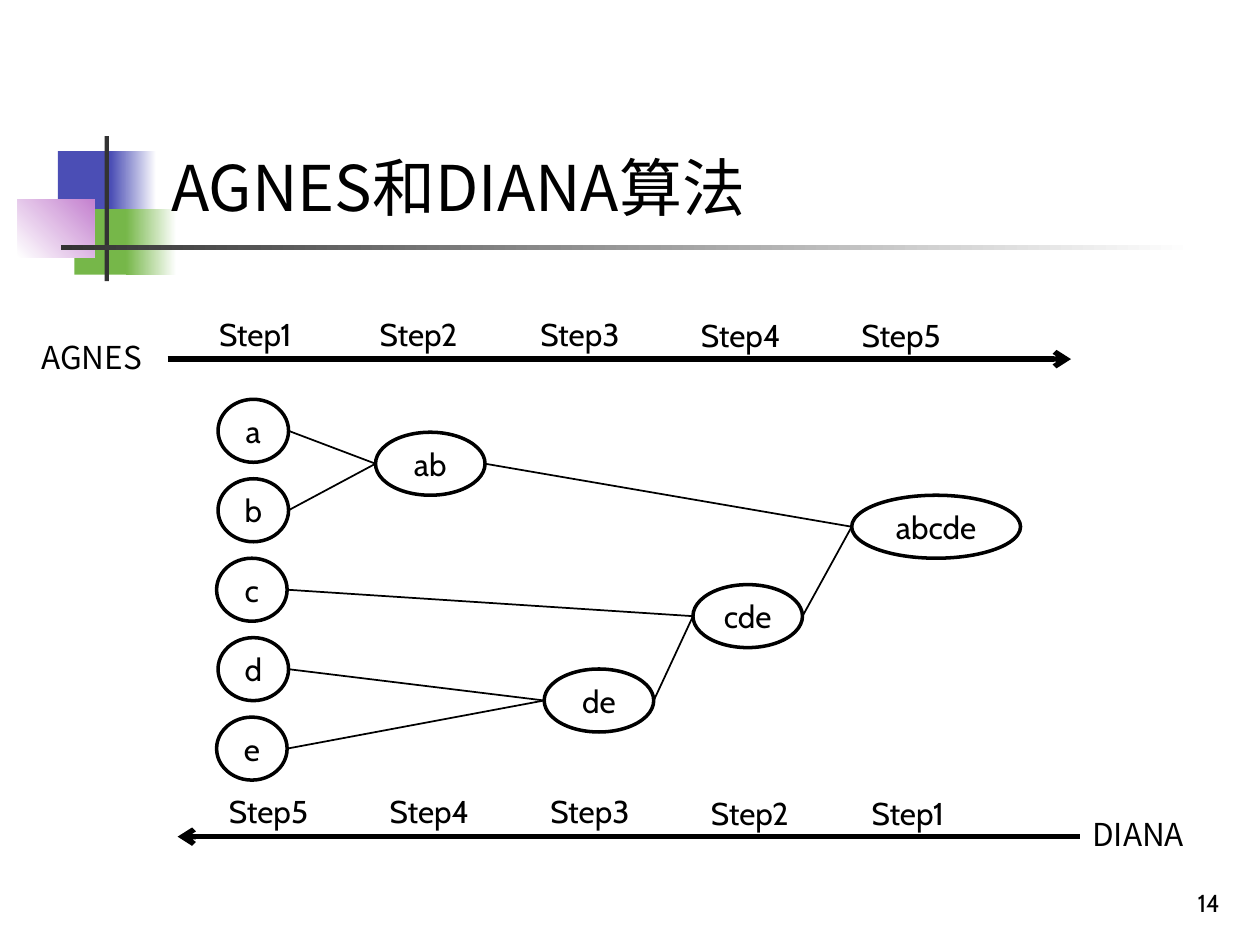
from lxml import etree
from pptx import Presentation
from pptx.dml.color import RGBColor
from pptx.enum.shapes import MSO_CONNECTOR, MSO_SHAPE
from pptx.enum.text import MSO_ANCHOR, MSO_AUTO_SIZE, PP_ALIGN
from pptx.oxml.ns import qn
from pptx.util import Pt

RECTANGLE, OVAL = MSO_SHAPE.RECTANGLE, MSO_SHAPE.OVAL
STRAIGHT = MSO_CONNECTOR.STRAIGHT
TOP, MIDDLE, BOTTOM = MSO_ANCHOR.TOP, MSO_ANCHOR.MIDDLE, MSO_ANCHOR.BOTTOM
LEFT, CENTER, RIGHT = PP_ALIGN.LEFT, PP_ALIGN.CENTER, PP_ALIGN.RIGHT
FIT_SHAPE = MSO_AUTO_SIZE.SHAPE_TO_FIT_TEXT
LATIN, CJK = "Cabin", "Noto Sans CJK JP"
BLACK, WHITE = "000000", "FFFFFF"


def color(value):
    return RGBColor.from_string(value)


def write(shape, runs, size, anchor=TOP, alignment=LEFT, wrap=True):
    frame = shape.text_frame
    frame.word_wrap = wrap
    frame.vertical_anchor = anchor
    paragraph = frame.paragraphs[0]
    paragraph.alignment = alignment
    for text, font in runs:
        run = paragraph.add_run()
        run.text = text
        run.font.size = Pt(size)
        run.font.name = font
        run.font.color.rgb = color(BLACK)


presentation = Presentation()
presentation.slide_width = Pt(720)
presentation.slide_height = Pt(540)
slide = presentation.slides.add_slide(presentation.slide_layouts[6])
shapes = slide.shapes

decorations = [
    (33.1, 86.4, 34.6, 37.4, ["4B4EB5"], 0),
    (63.4, 86.4, 25.9, 37.4, ["4B4EB5", WHITE], 0),
    (42.5, 119.5, 33.1, 37.4, ["76B749"], 0),
    (72, 119.5, 28.8, 37.4, ["76B749", WHITE], 0),
    (10.1, 113.8, 43.9, 33.1, [WHITE, "C481CF"], 45),
    (59.8, 77.8, 2.4, 82.8, ["333333"], 0),
    (34.6, 140.2, 648, 2.4, ["333333", WHITE], 0),
]
for left, top, width, height, fills, angle in decorations:
    shape = shapes.add_shape(RECTANGLE, Pt(left), Pt(top), Pt(width), Pt(height))
    shape.shadow.inherit = False
    shape.line.fill.background()
    if len(fills) == 1:
        shape.fill.solid()
        shape.fill.fore_color.rgb = color(fills[0])
    else:
        shape.fill.gradient()
        shape.fill.gradient_angle = angle
        for stop, value in zip(shape.fill.gradient_stops, fills):
            stop.color.rgb = color(value)

title = shapes.add_textbox(Pt(90.7), Pt(16.6), Pt(613.4), Pt(115.2))
write(title, [("AGNES", CJK), ("和", LATIN), ("DIANA", CJK), ("算法", LATIN)], 36, BOTTOM)
number = shapes.add_textbox(Pt(554.4), Pt(491.8), Pt(149.8), Pt(36))
write(number, [("14", LATIN)], 14, BOTTOM, RIGHT)

clusters = [
    ("ab", 214.6, 247, 62.6),
    ("de", 311, 382.3, 62.6),
    ("cde", 396, 334.1, 62.6),
    ("abcde", 486.7, 283, 96.5),
]
for index, name in enumerate("abcde"):
    left = 123.8 if name in "ce" else 124.6
    clusters.append((name, left, 228.2 + 45.4 * index, 40.3))

nodes = {}
for name, left, top, width in clusters:
    node = shapes.add_shape(OVAL, Pt(left), Pt(top), Pt(width), Pt(36))
    node.shadow.inherit = False
    node.fill.solid()
    node.fill.fore_color.rgb = color(WHITE)
    node.line.color.rgb = color(BLACK)
    node.line.width = Pt(2)
    write(node, [(name, LATIN)], 18, MIDDLE, CENTER, False)
    nodes[name] = node

lines = [
    (Pt(95.8), Pt(205.2), Pt(612), Pt(205.2), 3),
    (Pt(617), Pt(478.1), Pt(101.5), Pt(478.1), 3),
]
merges = [("a", "ab"), ("b", "ab"), ("c", "cde"), ("d", "de"), ("e", "de"),
          ("de", "cde"), ("cde", "abcde"), ("ab", "abcde")]
for part, whole in merges:
    start, end = nodes[part], nodes[whole]
    lines.append((start.left + start.width, start.top + start.height // 2,
                  end.left, end.top + end.height // 2, 1))

for start_x, start_y, end_x, end_y, weight in lines:
    connector = shapes.add_connector(STRAIGHT, start_x, start_y, end_x, end_y)
    connector.line.color.rgb = color(BLACK)
    connector.line.width = Pt(weight)
    if weight == 3:
        outline = connector.line._get_or_add_ln()
        etree.SubElement(outline, qn("a:tailEnd"), type="arrow")
    etree.SubElement(connector._element.spPr, qn("a:effectLst"))

labels = [("AGNES", 16.6, 189.4, 74.2, CJK, False),
          ("DIANA", 617, 462.2, 71.3, CJK, False)]
for left, top, steps in [(118.1, 176.4, [1, 2, 3, 4, 5]), (123.8, 449.3, [5, 4, 3, 2, 1])]:
    for index, step in enumerate(steps):
        drop = 0.7 if index > 2 else 0
        labels.append((f"Step{step}", left + 91.8 * index, top + drop, 69.8, LATIN, True))

for text, left, top, width, font, wrap in labels:
    label = shapes.add_textbox(Pt(left), Pt(top), Pt(width), Pt(28.8))
    write(label, [(text, font)], 18, wrap=wrap)
    label.text_frame.auto_size = FIT_SHAPE

presentation.save("out.pptx")
